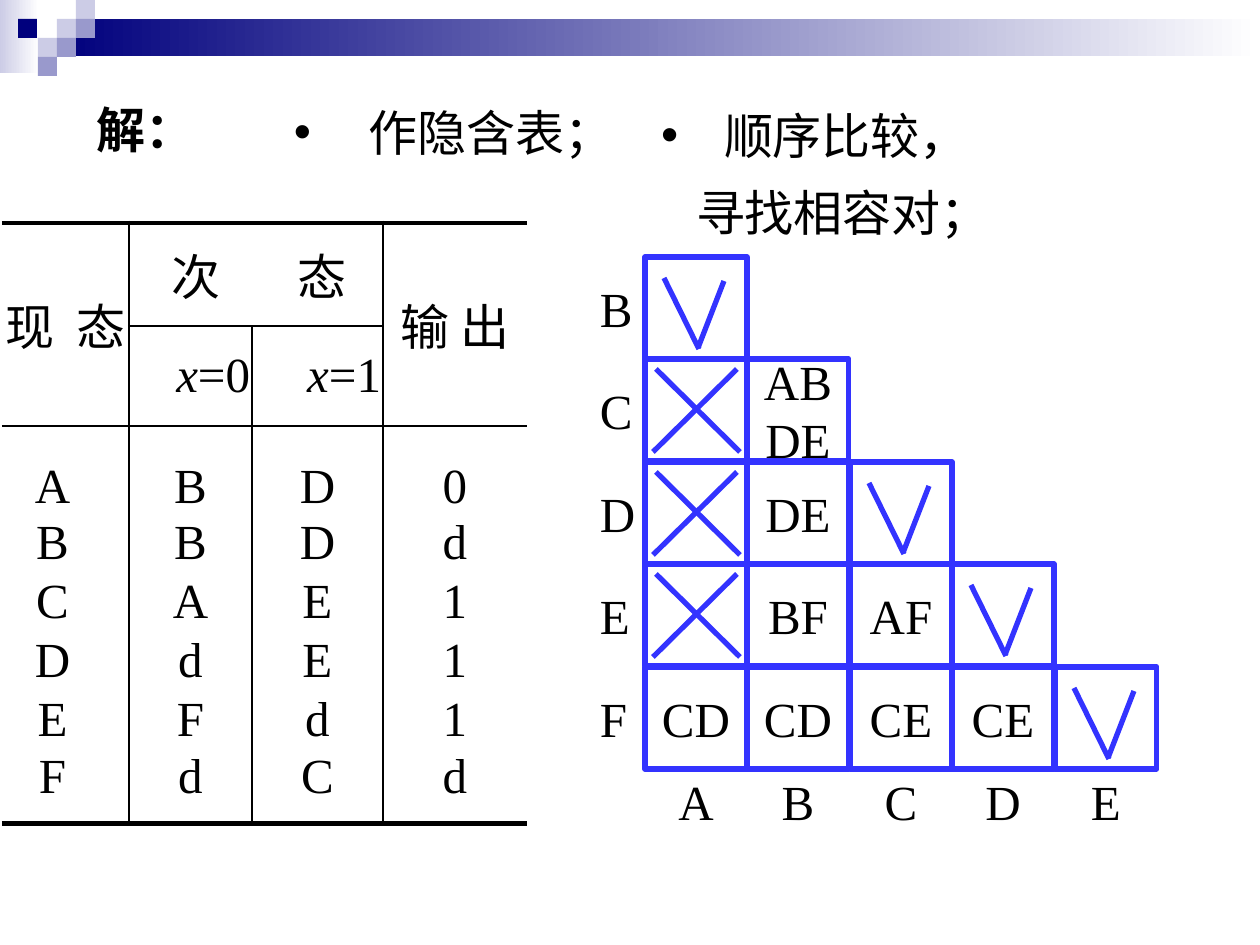
from lxml import etree
from pptx import Presentation
from pptx.dml.color import RGBColor
from pptx.enum import shapes, text
from pptx.oxml import ns
from pptx.util import Pt

PX = 914400 // 126
INK = {"black": "000000", "blue": "3333FF", "navy": "00007D",
       "mid": "9999CC", "pale": "CCCCE6", "white": "FFFFFF"}
RGB = {name: RGBColor.from_string(code) for name, code in INK.items()}
LEFT, MID, RIGHT = text.PP_ALIGN.LEFT, text.PP_ALIGN.CENTER, text.PP_ALIGN.RIGHT
TOP, CENTER, BOTTOM = (text.MSO_ANCHOR.TOP, text.MSO_ANCHOR.MIDDLE,
                       text.MSO_ANCHOR.BOTTOM)

deck = Presentation()
deck.slide_width, deck.slide_height = 1260 * PX, 945 * PX
slide = deck.slides.add_slide(deck.slide_layouts[3])
art = slide.shapes


def style(frame, align=MID, anchor=CENTER, pad=0):
    frame.vertical_anchor = anchor
    frame.margin_left = frame.margin_right = pad * PX
    frame.margin_top = frame.margin_bottom = 0
    for par in frame.paragraphs:
        par.alignment = align
        par.space_before = Pt(0)
        par.font.size = Pt(28)
        par.font.name = "Times New Roman"
        par.font.color.rgb = RGB["black"]


def box(x, y, w, h, fill=None, line=None):
    shape = art.add_shape(shapes.MSO_SHAPE.RECTANGLE, x * PX, y * PX, w * PX, h * PX)
    shape.shadow.inherit = False
    if fill:
        shape.fill.solid()
        shape.fill.fore_color.rgb = RGB[fill]
    else:
        shape.fill.background()
    if line:
        shape.line.color.rgb = RGB[line]
        shape.line.width = Pt(3)
    else:
        shape.line.fill.background()
    return shape


# Header bands and squares
for x, y, w, h, start, end in [(0, 0, 39, 73, "pale", "white"),
                               (57, 19, 1203, 37, "navy", "white")]:
    band = box(x, y, w, h)
    band.fill.gradient()
    band.fill.gradient_angle = 0
    for stop, name in zip(band.fill.gradient_stops, (start, end)):
        stop.color.rgb = RGB[name]
for x, y, name in [(57, 19, "pale"), (76, 0, "pale"), (76, 19, "mid"),
                   (38, 38, "pale"), (18, 19, "navy"), (57, 38, "mid"),
                   (38, 57, "mid")]:
    box(x, y, 19, 19, name)

# Title and the two steps
title, first, second = slide.placeholders
for hold, words, (x, y, w, h) in [
        (title, "解：", (84, 93, 122, 72)),
        (first, "作隐含表；", (281, 96, 344, 72)),
        (second, "顺序比较，\n寻找相容对；", (648, 88, 562, 160))]:
    hold.left, hold.top, hold.width, hold.height = x * PX, y * PX, w * PX, h * PX
    hold.text_frame.text = words
    hold.text_frame.auto_size = text.MSO_AUTO_SIZE.NONE
steps = first.text_frame.paragraphs + second.text_frame.paragraphs
for par, gap, hang, mark in zip(steps, (75, 63, 35), (75, 63, 0), "•• "):
    prop = par._p.get_or_add_pPr()
    prop.set("marL", str(gap * PX))
    prop.set("indent", str(-hang * PX))
    if hang:
        etree.SubElement(prop, ns.qn("a:buChar")).set("char", mark)
    else:
        etree.SubElement(prop, ns.qn("a:buNone"))
for hold in (title, first, second):
    style(hold.text_frame, LEFT, TOP if hold is second else CENTER, 13)
title.text_frame.paragraphs[0].font.bold = True
for par in second.text_frame.paragraphs:
    par.line_spacing = 1.3

# State table
cols, rows = [127, 123, 131, 144], [103, 100, 88, 59, 59, 59, 59, 74]
grid = art.add_table(8, 4, 2 * PX, 223 * PX, sum(cols) * PX, sum(rows) * PX).table
grid.first_row = grid.horz_banding = False
for col, size in zip(grid.columns, cols):
    col.width = size * PX
for row, size in zip(grid.rows, rows):
    row.height = size * PX
data = [["现  态", "次\t态", "", "输 出"], ["", "x=0", "x=1", ""],
        *map(list, ("ABD0", "BBDd", "CAE1", "DdE1", "EFd1", "FdCd"))]
rules = [[3] * 4, [0, 1, 1, 0], [1] * 4, *[[0] * 4] * 5, [3] * 4]
for r, line in enumerate(data):
    for c, words in enumerate(line):
        cell = grid.cell(r, c)
        par = cell.text_frame.paragraphs[0]
        if r == 1 and words:
            par.add_run().text = "x"
            par.runs[0].font.italic = True
            par.add_run().text = words[1:]
        elif words:
            par.text = words
        if "\t" in words:
            tabs = etree.SubElement(par._p.get_or_add_pPr(), ns.qn("a:tabLst"))
            etree.SubElement(tabs, ns.qn("a:tab"), pos=str(126 * PX), algn="l")
        align = LEFT if "\t" in words else RIGHT if r == 1 else MID
        style(cell.text_frame, align)
        cell.vertical_anchor = {2: BOTTOM, 7: TOP}.get(r, CENTER)
        cell.margin_top = cell.margin_bottom = 0
        cell.margin_left = 43 * PX if "\t" in words else 0
        cell.margin_right = 26 * PX if r > 1 and c == 0 else 2 * PX if r == 1 else 0
        cell.fill.background()
        sides = [1.5 if k in (1, 3) or (k == 2 and r) else 0 for k in (c, c + 1)]
        sides += [rules[r][c], rules[r + 1][c]]
        for at, (side, width) in enumerate(zip("LRTB", sides)):
            edge = etree.Element(ns.qn("a:ln" + side), w=str(Pt(width)))
            if width:
                fill = etree.SubElement(edge, ns.qn("a:solidFill"))
                etree.SubElement(fill, ns.qn("a:srgbClr"), val=INK["black"])
            else:
                etree.SubElement(edge, ns.qn("a:noFill"))
            cell._tc.get_or_add_tcPr().insert(at, edge)
for top, end in [((0, 0), (1, 0)), ((0, 1), (0, 2)), ((0, 3), (1, 3))]:
    grid.cell(*top).merge(grid.cell(*end))

# Implication chart: V is compatible, X is not
pairs = [["V"], ["X", "AB\nDE"], ["X", "DE", "V"], ["X", "BF", "AF", "V"],
         ["CD", "CD", "CE", "CE", "V"]]
marks = {"V": [(19, 21, 54, 92), (79, 24, 53, 91)],
         "X": [(11, 10, 95, 93), (92, 10, 8, 93)]}
xs = [645 + 205 * k // 2 for k in range(5)]
ys = [257 + 205 * k // 2 for k in range(5)]
for y, line in zip(ys, pairs):
    for x, words in zip(xs, line):
        cell = box(x, y, 102, 102, line="blue")
        if words not in marks:
            cell.text_frame.text = words
            style(cell.text_frame)
        for x1, y1, x2, y2 in marks.get(words, []):
            stroke = art.add_connector(shapes.MSO_CONNECTOR.STRAIGHT, (x + x1) * PX,
                                       (y + y1) * PX, (x + x2) * PX, (y + y2) * PX)
            stroke.line.color.rgb = RGB["blue"]
            stroke.line.width = Pt(3)
            etree.SubElement(stroke._element.spPr, ns.qn("a:effectLst"))

# State names beside and below the chart
names = [(name, 587, y + 15, 58, LEFT, 13) for name, y in zip("BCDEF", ys)]
names += [(name, x, 765, 102, MID, 0) for name, x in zip("ABCDE", xs)]
for name, x, y, w, align, pad in names:
    label = art.add_textbox(x * PX, y * PX, w * PX, 72 * PX)
    label.text_frame.text = name
    label.text_frame.word_wrap = True
    style(label.text_frame, align, CENTER, pad)

deck.save("out.pptx")
